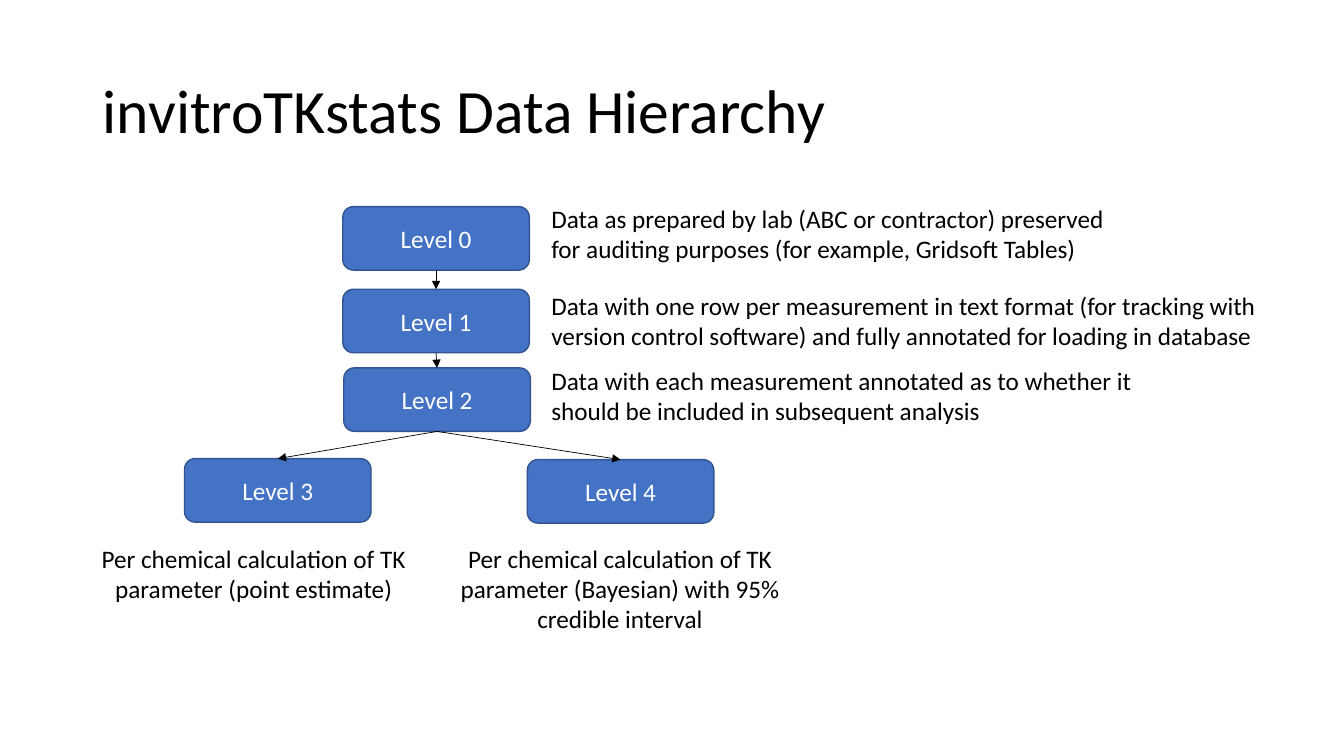
from lxml.etree import SubElement
from pptx import Presentation
from pptx.dml.color import RGBColor
from pptx.enum.shapes import MSO_CONNECTOR as LINE, MSO_SHAPE as SHAPE
from pptx.enum.text import MSO_ANCHOR as ANCHOR, MSO_AUTO_SIZE as FIT, PP_ALIGN as ALIGN
from pptx.oxml.ns import qn
from pptx.util import Inches, Pt

COLORS = {"text": "000000", "level": "4472C4", "border": "325491", "label": "FFFFFF"}
LEVEL_W, LEVEL_H = 1.85, 0.63
TOP, BOTTOM = 0, 2


def color(name):
    return RGBColor.from_string(COLORS[name])


def write(frame, text, size=18, ink="text", align=ALIGN.LEFT, anchor=ANCHOR.TOP,
          spacing=1.0, fit=FIT.NONE):
    frame.text = text
    frame.word_wrap = True
    frame.auto_size = fit
    frame.vertical_anchor = anchor
    paragraph = frame.paragraphs[0]
    paragraph.alignment = align
    paragraph.line_spacing = spacing
    font = paragraph.runs[0].font
    font.name, font.size = "Calibri", Pt(size)
    font.color.rgb = color(ink)


def add_heading(slide, left, top, width, height, text):
    heading = slide.shapes.title
    heading.left, heading.top = Inches(left), Inches(top)
    heading.width, heading.height = Inches(width), Inches(height)
    write(heading.text_frame, text, size=44, anchor=ANCHOR.MIDDLE, spacing=0.9)


def add_level(slide, left, top, text):
    level = slide.shapes.add_shape(SHAPE.ROUNDED_RECTANGLE, Inches(left), Inches(top),
                                   Inches(LEVEL_W), Inches(LEVEL_H))
    level.shadow.inherit = False
    level.fill.solid()
    level.fill.fore_color.rgb = color("level")
    level.line.color.rgb = color("border")
    level.line.width = Pt(1)
    write(level.text_frame, text, ink="label", align=ALIGN.CENTER, anchor=ANCHOR.MIDDLE)
    return level


def add_description(slide, left, top, width, height, text, align=ALIGN.LEFT):
    description = slide.shapes.add_textbox(Inches(left), Inches(top), Inches(width), Inches(height))
    write(description.text_frame, text, align=align, fit=FIT.SHAPE_TO_FIT_TEXT)


def add_arrow(slide, parent, child):
    arrow = slide.shapes.add_connector(LINE.STRAIGHT, 0, 0, 0, 0)
    arrow.begin_connect(parent, BOTTOM)
    arrow.end_connect(child, TOP)
    arrow.line.color.rgb = color("text")
    arrow.line.width = Pt(0.5)
    SubElement(arrow.line._get_or_add_ln(), qn("a:tailEnd"), type="triangle")
    SubElement(arrow._element.spPr, qn("a:effectLst"))


def add_preparation(slide, left, top, steps):
    levels = []
    for number, (dx, dy, text_dy, width, text) in enumerate(steps):
        levels.append(add_level(slide, left + dx, top + dy, f"Level {number}"))
        add_description(slide, left + 1.97, top + text_dy, width, 0.71, text)
    for parent, child in zip(levels, levels[1:]):
        add_arrow(slide, parent, child)
    return levels[-1]


def add_results(slide, left, top, parent, results):
    for number, (dx, dy, text_dx, width, height, text) in enumerate(results, 3):
        level = add_level(slide, left + dx, top + dy, f"Level {number}")
        add_description(slide, left + text_dx, top + 0.79, width, height, text, ALIGN.CENTER)
        add_arrow(slide, parent, level)


PREPARATION = [
    (0, 0, -0.08, 5.84, "Data as prepared by lab (ABC or contractor) preserved for auditing "
     "purposes (for example, Gridsoft Tables)"),
    (0, 0.82, 0.78, 7.48, "Data with one row per measurement in text format (for tracking with "
     "version control software) and fully annotated for loading in database"),
    (0.01, 1.6, 1.52, 5.99, "Data with each measurement annotated as to whether it should be "
     "included in subsequent analysis"),
]
RESULTS = [
    (1.14, 0, 0, 3.65, 0.71, "Per chemical calculation of TK parameter (point estimate)"),
    (4.54, 0.01, 3.49, 3.94, 1.01, "Per chemical calculation of TK parameter (Bayesian) "
     "with 95% credible interval"),
]

deck = Presentation()
deck.slide_width, deck.slide_height = Inches(13.33), Inches(7.5)
hierarchy = deck.slides.add_slide(deck.slide_layouts[5])
add_heading(hierarchy, 0.92, 0.4, 11.5, 1.45, "invitroTKstats Data Hierarchy")
annotated = add_preparation(hierarchy, 3.4, 2.05, PREPARATION)
add_results(hierarchy, 0.69, 4.55, annotated, RESULTS)
deck.save("out.pptx")
